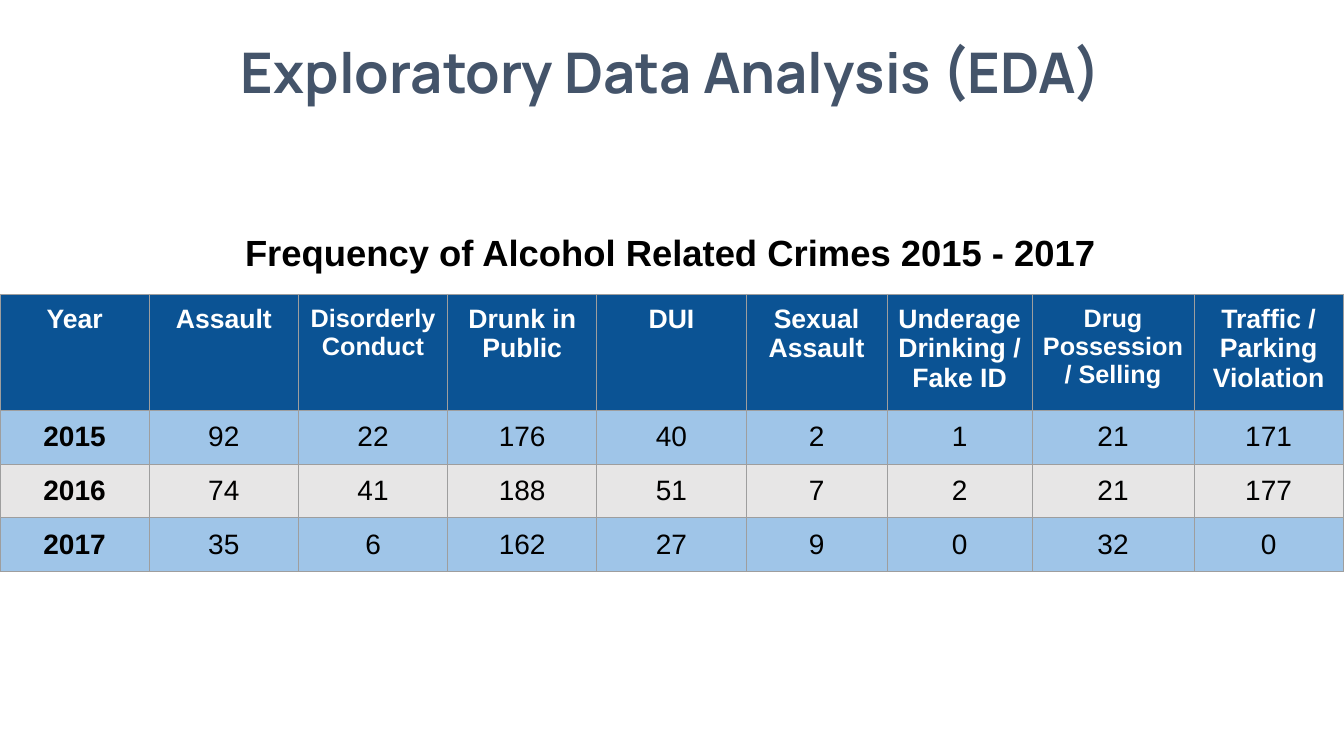
"""Build a slide with a table of alcohol related crimes by year."""
from lxml import etree
from pptx import Presentation
from pptx.dml.color import RGBColor
from pptx.enum.text import MSO_ANCHOR, MSO_AUTO_SIZE, PP_ALIGN
from pptx.oxml.ns import qn
from pptx.util import Pt

CENTER = PP_ALIGN.CENTER
TOP, MIDDLE, BOTTOM = MSO_ANCHOR.TOP, MSO_ANCHOR.MIDDLE, MSO_ANCHOR.BOTTOM
NO_FIT = MSO_AUTO_SIZE.NONE

HEADING = "Exploratory Data Analysis (EDA)"
CAPTION = "Frequency of Alcohol Related Crimes 2015 - 2017"
CRIMES = [
    ("Year", 106.6, 19),
    ("Assault", 106.6, 19),
    ("Disorderly Conduct", 106.6, 18),
    ("Drunk in Public", 106.6, 19),
    ("DUI", 106.6, 19),
    ("Sexual Assault", 100.7, 19),
    ("Underage Drinking / Fake ID", 103.6, 19),
    ("Drug Possession / Selling", 115.7, 18),
    ("Traffic / Parking Violation", 106.6, 19),
]
YEARS = [
    (2015, 92, 22, 176, 40, 2, 1, 21, 171),
    (2016, 74, 41, 188, 51, 7, 2, 21, 177),
    (2017, 35, 6, 162, 27, 9, 0, 32, 0),
]
HEADER_FILL, YEAR_FILLS = "0B5394", ("9FC5E8", "E7E6E6")
GRID_COLOR, GRID_WIDTH = "9E9E9E", 0.75
HEADER_HEIGHT, YEAR_HEIGHT = 77, 36.6
INSET = 7.2


def color(value):
    return RGBColor.from_string(value)


def place(shape, left, top, width, height):
    shape.left, shape.top = Pt(left), Pt(top)
    shape.width, shape.height = Pt(width), Pt(height)


def write(frame, text, size, ink, bold=True, face="Arial"):
    paragraph = frame.paragraphs[0]
    paragraph.alignment = CENTER
    run = paragraph.add_run()
    run.text = text
    run.font.name, run.font.size, run.font.bold = face, Pt(size), bold
    run.font.color.rgb = color(ink)
    return paragraph


def pad(holder):
    holder.margin_left = holder.margin_right = Pt(INSET)
    holder.margin_top = holder.margin_bottom = Pt(INSET)


def outline(cell):
    properties = cell._tc.get_or_add_tcPr()
    for index, side in enumerate(("lnL", "lnR", "lnT", "lnB")):
        line = etree.Element(qn(f"a:{side}"), w=str(Pt(GRID_WIDTH)))
        fill = etree.SubElement(line, qn("a:solidFill"))
        etree.SubElement(fill, qn("a:srgbClr"), val=GRID_COLOR)
        properties.insert(index, line)


def fill_cell(cell, text, size, ink, fill, bold, anchor):
    pad(cell)
    cell.vertical_anchor = anchor
    cell.fill.solid()
    cell.fill.fore_color.rgb = color(fill)
    write(cell.text_frame, text, size, ink, bold)
    outline(cell)


def add_heading(slide):
    heading = slide.shapes.title
    place(heading, 65.5, 0, 828, 79.2)
    frame = heading.text_frame
    frame.word_wrap, frame.auto_size = True, NO_FIT
    frame.vertical_anchor = BOTTOM
    write(frame, HEADING, 40, "44546A", face="Manrope").line_spacing = 0.9


def add_caption(slide):
    frame = slide.shapes.add_textbox(Pt(161.3), Pt(157), Pt(635.8), Pt(53.3)).text_frame
    frame.word_wrap = True
    frame.vertical_anchor = TOP
    pad(frame)
    write(frame, CAPTION, 26, "000000")


def add_crime_table(slide):
    width = sum(crime[1] for crime in CRIMES)
    height = HEADER_HEIGHT + YEAR_HEIGHT * len(YEARS)
    table = slide.shapes.add_table(
        len(YEARS) + 1, len(CRIMES), Pt(0), Pt(210.2), Pt(width), Pt(height)
    ).table
    table.horz_banding = False
    table.rows[0].height = Pt(HEADER_HEIGHT)
    for column, (crime, column_width, size) in enumerate(CRIMES):
        table.columns[column].width = Pt(column_width)
        fill_cell(table.cell(0, column), crime, size, "FFFFFF", HEADER_FILL, True, TOP)
    for row, counts in enumerate(YEARS, start=1):
        table.rows[row].height = Pt(YEAR_HEIGHT)
        fill = YEAR_FILLS[(row - 1) % 2]
        for column, count in enumerate(counts):
            fill_cell(table.cell(row, column), str(count), 20, "000000", fill, column == 0, MIDDLE)


def main():
    deck = Presentation()
    deck.slide_width, deck.slide_height = Pt(960), Pt(540)
    slide = deck.slides.add_slide(deck.slide_layouts[5])
    add_heading(slide)
    add_caption(slide)
    add_crime_table(slide)
    deck.save("out.pptx")


if __name__ == "__main__":
    main()
